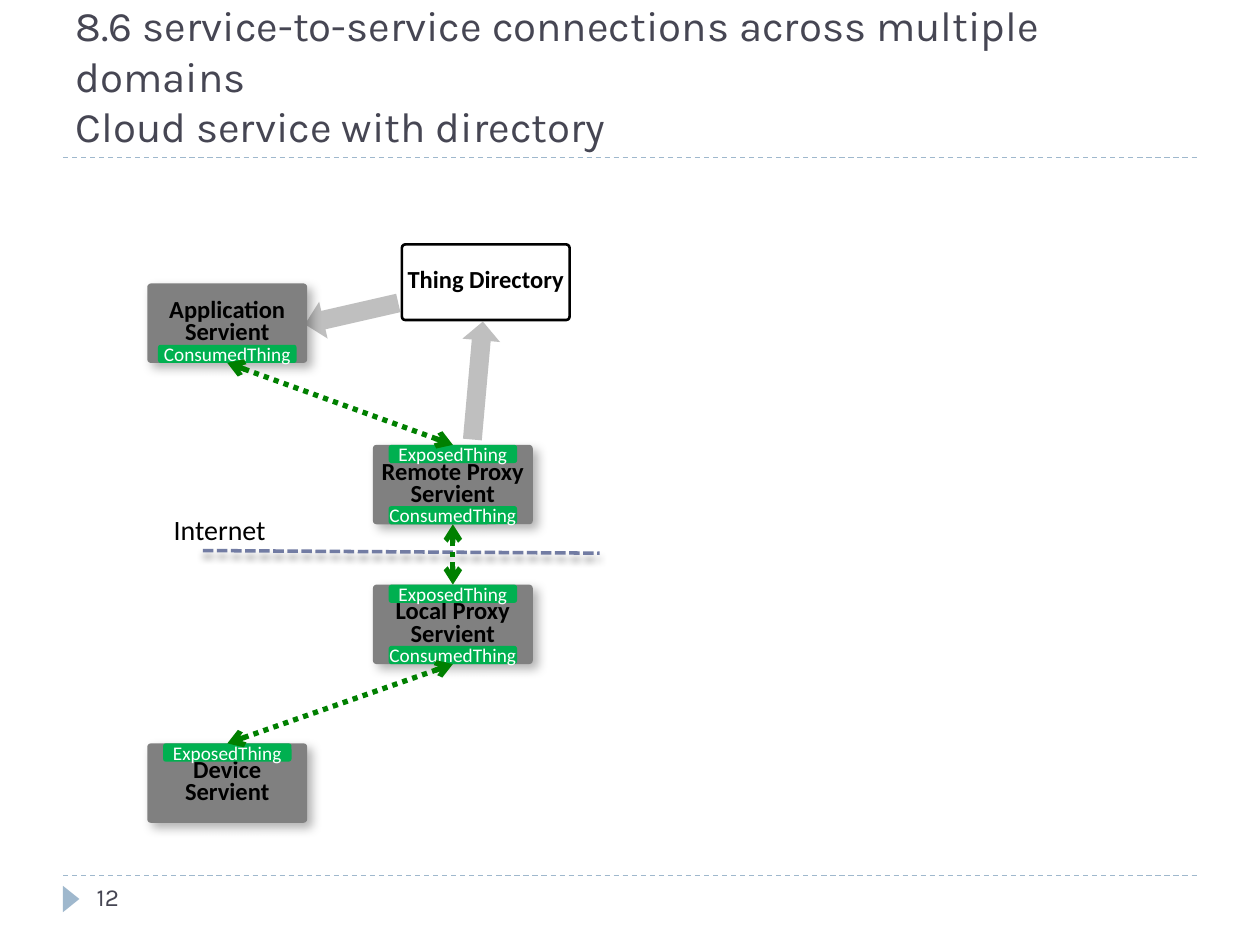
"""Build the slide on service-to-service connections through a cloud directory."""
from dataclasses import dataclass

from lxml.etree import SubElement
from pptx import Presentation
from pptx.dml.color import RGBColor
from pptx.enum.dml import MSO_LINE as Dash
from pptx.enum.shapes import MSO_CONNECTOR as Connector, MSO_SHAPE as Shape
from pptx.enum.text import MSO_ANCHOR as Anchor, MSO_AUTO_SIZE as AutoSize, PP_ALIGN as Align
from pptx.oxml.ns import qn
from pptx.util import Pt


@dataclass(frozen=True)
class Theme:
    heading_font: str = "Karla"
    body_font: str = "Calibri"
    heading: str = "464653"
    accent: str = "9FB8CD"
    boundary: str = "727CA3"
    arrow: str = "BFBFBF"
    servient: str = "808080"
    badge: str = "00B050"
    link: str = "008000"
    black: str = "000000"
    white: str = "FFFFFF"
    title_size: int = 24
    internet_size: int = 16
    label_size: int = 14
    badge_size: int = 11


THEME = Theme()
TITLE = "8.6 service-to-service connections across multiple domains\vCloud service with directory"
PAGE_NUMBER = "12"
INTERNET = "Internet"
DIRECTORY = "Thing Directory"
EXPOSED, CONSUMED = "ExposedThing", "ConsumedThing"
SERVIENT_SIZE = (91.4, 45.4)
BADGE_HEIGHT = 10.4
SERVIENTS = {
    "Remote Proxy": dict(left=213.1, top=254.2, above=EXPOSED, below=CONSUMED),
    "Local Proxy": dict(left=213.1, top=334.1, above=EXPOSED, below=CONSUMED),
    "Device": dict(left=84.2, top=424.8, above=EXPOSED),
    "Application": dict(left=84.2, top=162, below=CONSUMED, badge_width=79.2),
}
LINKS = [("Remote Proxy", "Application"), ("Local Proxy", "Remote Proxy"), ("Device", "Local Proxy")]
RULES = [(36, 500.4, 684, 500.4), (36, 90, 684, 90)]
BOUNDARY = (115.9, 314.6, 342.7, 316.1)
DIRECTORY_ARROWS = [((190.1, 151.9, 21.6, 54.7), 77.1), ((262.1, 183.6, 21.6, 67.7), 185.1)]


def color(value):
    return RGBColor.from_string(value)


def points(values):
    return [Pt(value) for value in values]


def add_effects(shape, shadow=None):
    properties = shape._element.spPr
    for old in properties.findall(qn("a:effectLst")):
        properties.remove(old)
    effects = SubElement(properties, qn("a:effectLst"))
    if shadow:
        opacity, blur, distance, angle = shadow
        outer = SubElement(effects, qn("a:outerShdw"), blurRad=str(Pt(blur)), dist=str(Pt(distance)),
                           dir=str(angle * 60000), algn="ctr", rotWithShape="0")
        tint = SubElement(outer, qn("a:srgbClr"), val=THEME.black)
        SubElement(tint, qn("a:alpha"), val=str(opacity * 1000))


def write(shape, text, *, size, ink, font=THEME.body_font, bold=False, align=Align.CENTER,
          anchor=Anchor.MIDDLE, spacing=None, inset=None, wrap=False):
    frame = shape.text_frame
    frame.auto_size = AutoSize.NONE
    frame.word_wrap = wrap
    frame.vertical_anchor = anchor
    if inset is not None:
        frame.margin_left = frame.margin_right = frame.margin_top = frame.margin_bottom = Pt(inset)
    frame.text = text
    for paragraph in frame.paragraphs:
        paragraph.alignment = align
        if spacing:
            paragraph.line_spacing = spacing
        paragraph.font.name = font
        paragraph.font.size = Pt(size)
        paragraph.font.bold = bold
        paragraph.font.color.rgb = color(ink)


def add_block(slide, kind, box, fill, *, corner=None, rotation=0, outline=None, shadow=None):
    shape = slide.shapes.add_shape(kind, *points(box))
    shape.rotation = rotation
    if corner is not None:
        shape.adjustments[0] = corner
    shape.fill.solid()
    shape.fill.fore_color.rgb = color(fill)
    if outline:
        shape.line.color.rgb = color(outline)
        shape.line.width = Pt(1.5)
    else:
        shape.line.fill.background()
    add_effects(shape, shadow)
    return shape


def add_line(slide, ends, ink, width, dash, *, arrows=False, shadow=None):
    line = slide.shapes.add_connector(Connector.STRAIGHT, *points(ends))
    line.line.color.rgb = color(ink)
    line.line.width = Pt(width)
    line.line.dash_style = dash
    if arrows:
        for end in ("a:headEnd", "a:tailEnd"):
            SubElement(line.line._get_or_add_ln(), qn(end), type="arrow")
    add_effects(line, shadow)


def add_label(slide, box, text, **style):
    write(slide.shapes.add_textbox(*points(box)), text, align=Align.LEFT, anchor=Anchor.TOP, **style)


def add_servient(slide, name, *, left, top, above=None, below=None, badge_width=73.4):
    width, height = SERVIENT_SIZE
    box = add_block(slide, Shape.ROUNDED_RECTANGLE, (left, top, width, height), THEME.servient,
                    corner=0.045, shadow=(30, 6, 4, 45))
    write(box, f"{name}\nServient", size=THEME.label_size, ink=THEME.black, bold=True, spacing=0.75, inset=0)
    for text, badge_top in ((above, top), (below, top + height - BADGE_HEIGHT)):
        if text:
            badge_left = left + (width - badge_width) / 2
            badge = add_block(slide, Shape.ROUNDED_RECTANGLE,
                              (badge_left, badge_top, badge_width, BADGE_HEIGHT), THEME.badge, corner=0.15)
            write(badge, text, size=THEME.badge_size, ink=THEME.white)


def link_ends(lower, upper):
    width, height = SERVIENT_SIZE
    start, end = SERVIENTS[lower], SERVIENTS[upper]
    return start["left"] + width / 2, start["top"], end["left"] + width / 2, end["top"] + height


def main():
    presentation = Presentation()
    presentation.slide_width, presentation.slide_height = Pt(720), Pt(540)
    slide = presentation.slides.add_slide(presentation.slide_layouts[5])

    for rule in RULES:
        add_line(slide, rule, THEME.accent, 0.75, Dash.DASH)
    add_block(slide, Shape.ISOSCELES_TRIANGLE, (33.1, 509, 15.1, 9.4), THEME.accent, rotation=90)
    title = slide.shapes.title
    title.left, title.top, title.width, title.height = points((36, 18, 648, 72))
    write(title, TITLE, size=THEME.title_size, ink=THEME.heading, font=THEME.heading_font,
          align=Align.LEFT, anchor=Anchor.BOTTOM, wrap=True)
    add_label(slide, (48.2, 500.4, 156.2, 28.8), PAGE_NUMBER, size=THEME.label_size,
              ink=THEME.heading, font=THEME.heading_font, wrap=True)

    add_line(slide, BOUNDARY, THEME.boundary, 2, Dash.SQUARE_DOT, shadow=(40, 4, 3.4, 90))
    for box, rotation in DIRECTORY_ARROWS:
        add_block(slide, Shape.DOWN_ARROW, box, THEME.arrow, rotation=rotation)
    directory = add_block(slide, Shape.ROUNDED_RECTANGLE, (229.7, 139.7, 95.8, 43.2), THEME.white,
                          corner=0.045, outline=THEME.black)
    write(directory, DIRECTORY, size=THEME.label_size, ink=THEME.black, bold=True, spacing=0.75, inset=0)

    for name, options in SERVIENTS.items():
        add_servient(slide, name, **options)
    for lower, upper in LINKS:
        add_line(slide, link_ends(lower, upper), THEME.link, 3, Dash.ROUND_DOT, arrows=True)
    add_label(slide, (92.2, 289.4, 67.7, 26.6), INTERNET, size=THEME.internet_size, ink=THEME.black)
    presentation.save("out.pptx")


if __name__ == "__main__":
    main()
